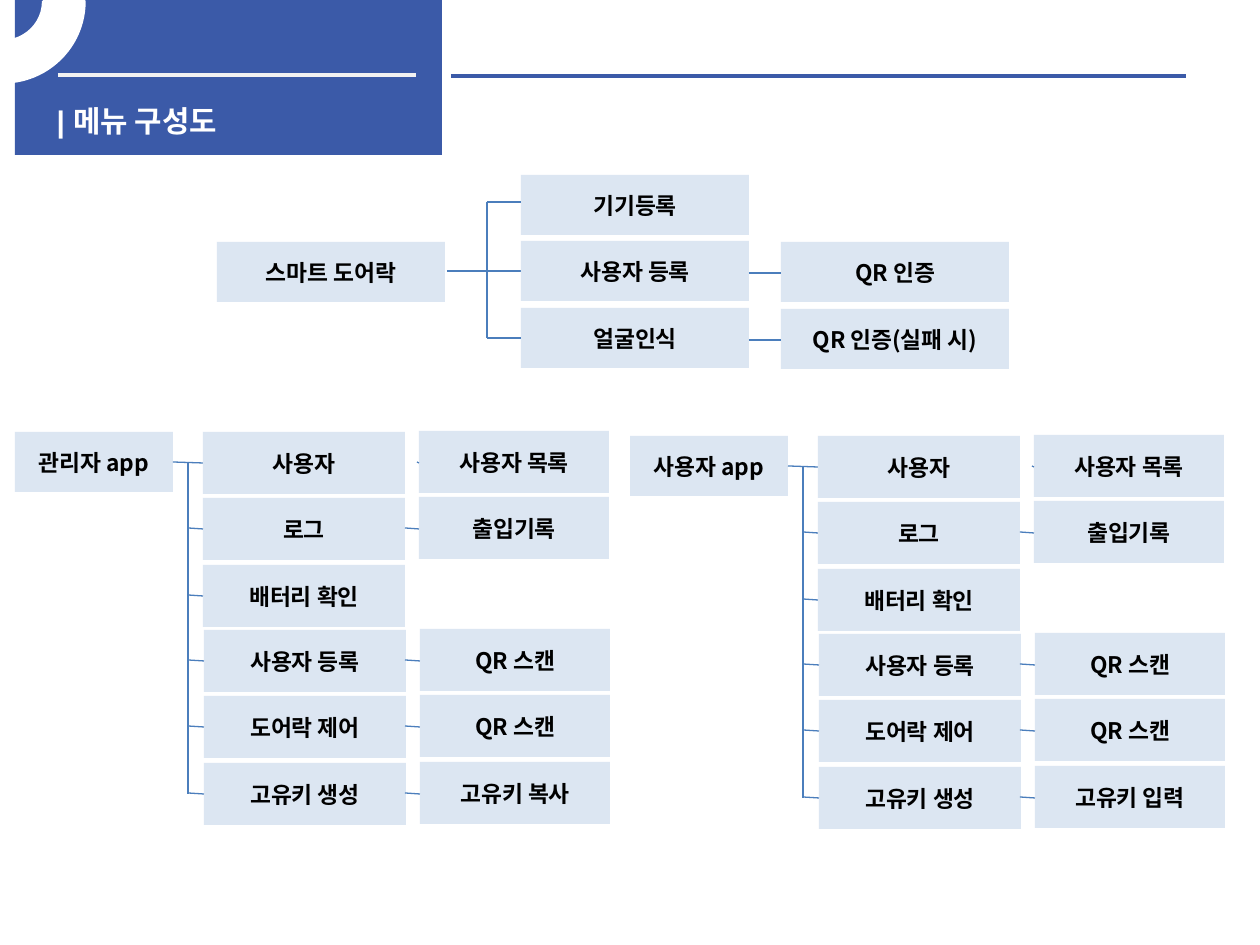
from lxml import etree
from pptx import Presentation
from pptx.dml.color import RGBColor
from pptx.enum.shapes import MSO_CONNECTOR, MSO_SHAPE
from pptx.enum.text import MSO_ANCHOR, PP_ALIGN
from pptx.oxml.ns import qn
from pptx.util import Pt

LINE = MSO_CONNECTOR.STRAIGHT
RECT, ARC = MSO_SHAPE.RECTANGLE, MSO_SHAPE.BLOCK_ARC
TOP, MIDDLE = MSO_ANCHOR.TOP, MSO_ANCHOR.MIDDLE
LEFT, CENTER = PP_ALIGN.LEFT, PP_ALIGN.CENTER
PX = 914400 / 126
FONT = "Noto Sans CJK KR"
COLORS = {"blue": "3B5AA8", "box": "DCE6F2", "link": "4B7EBC",
          "white": "FFFFFF", "rule": "F2F2F2", "text": "000000"}

TITLE = "| 메뉴 구성도"
DOORLOCK = "스마트 도어락"
DOORLOCK_MENU = [("기기등록", None), ("사용자 등록", "QR 인증"),
                 ("얼굴인식", "QR 인증(실패 시)")]
APP_MENU = [("사용자", "사용자 목록"), ("로그", "출입기록"), ("배터리 확인", None),
            ("사용자 등록", "QR 스캔"), ("도어락 제어", "QR 스캔")]
APPS = [("관리자 app", 0, 0, APP_MENU + [("고유키 생성", "고유키 복사")]),
        ("사용자 app", 615, 4, APP_MENU + [("고유키 생성", "고유키 입력")])]
ROW_TOPS = [432, 498, 565, 630, 696, 763]


def px(*values):
    return [round(v * PX) for v in values]


def rgb(name):
    return RGBColor.from_string(COLORS[name])


def add_shape(kind, x, y, w, h, color):
    sp = s.shapes.add_shape(kind, *px(x, y, w, h))
    sp.shadow.inherit = False
    sp.fill.solid()
    sp.fill.fore_color.rgb = rgb(color)
    sp.line.fill.background()
    return sp


def set_text(sp, text, size, font, color, align, anchor):
    tf = sp.text_frame
    tf.word_wrap = True
    tf.vertical_anchor = anchor
    p = tf.paragraphs[0]
    p.text = text
    p.alignment = align
    p.font.size = Pt(size)
    p.font.bold = True
    p.font.color.rgb = rgb(color)
    p.font.name = font
    etree.SubElement(p._p.pPr.defRPr, qn("a:ea"), typeface=FONT)


def add_box(x, y, w, h, text):
    sp = add_shape(RECT, x, y, w, h, "box")
    set_text(sp, text, 13, FONT, "text", CENTER, MIDDLE)


def add_line(x1, y1, x2, y2, color="link", width=0.75):
    c = s.shapes.add_connector(LINE, *px(x1, y1, x2, y2))
    c.line.color.rgb = rgb(color)
    c.line.width = Pt(width)
    etree.SubElement(c._element.spPr, qn("a:effectLst"))


def add_header():
    add_shape(RECT, 15, 0, 427, 155, "blue")
    add_line(58, 75, 416, 75, "rule", 2.25)
    add_line(451, 76, 1186, 76, "blue", 2.25)
    arc = add_shape(ARC, -79, -79, 163, 161, "white")
    arc.adjustments[0] = 0
    arc.adjustments[1] = 54.41
    arc.adjustments[2] = 0.25
    arc.line.color.rgb = rgb("white")
    arc.line.width = Pt(2)
    title = s.shapes.title
    title.left, title.top, title.width, title.height = px(44, 96, 407, 38)
    set_text(title, TITLE, 17, "Arial", "white", LEFT, TOP)
    s.shapes._spTree.append(title._element)


def add_doorlock():
    w, h, trunk = 228, 60, 487
    add_box(217, 242, w, h, DOORLOCK)
    add_line(447, 271, 521, 271)
    add_line(trunk, 202, trunk, 338)
    for i, (item, leaf) in enumerate(DOORLOCK_MENU):
        y = 175 + round(66.5 * i)
        add_box(521, y, w, h, item)
        if i != 1:
            add_line(trunk, [202, 271, 338][i], 521, [202, 271, 338][i])
        if leaf:
            add_box(781, y + 1, w, h, leaf)
            add_line(749, y + h / 2 + 2, 781, y + h / 2 + 2)


def add_app(name, dx, dy, menu):
    root_x, trunk, item_x, leaf_x = (v + dx for v in (15, 188, 203, 419))
    h = 62
    root_y = ROW_TOPS[0] + dy
    add_box(root_x, root_y, 158, 60, name)
    add_line(root_x + 158, root_y + 30, item_x, root_y + 31)
    add_line(trunk, root_y + 30, trunk, ROW_TOPS[-1] + dy + 31)
    for i, (top, (item, leaf)) in enumerate(zip(ROW_TOPS, menu)):
        y = top + dy
        x_shift = i // 3
        middle = y + h / 2
        add_box(item_x + x_shift, y, 202, h, item)
        if i:
            add_line(trunk, middle - 1, item_x + x_shift, middle)
        if leaf:
            start = item_x + 202 if i else leaf_x - 2
            add_box(leaf_x + x_shift, y - 1, 190, h, leaf)
            add_line(start, middle - 1, leaf_x + x_shift, middle)


prs = Presentation()
prs.slide_width, prs.slide_height = px(1260, 945)
s = prs.slides.add_slide(prs.slide_layouts[5])
add_header()
add_doorlock()
for app in APPS:
    add_app(*app)
prs.save("out.pptx")
